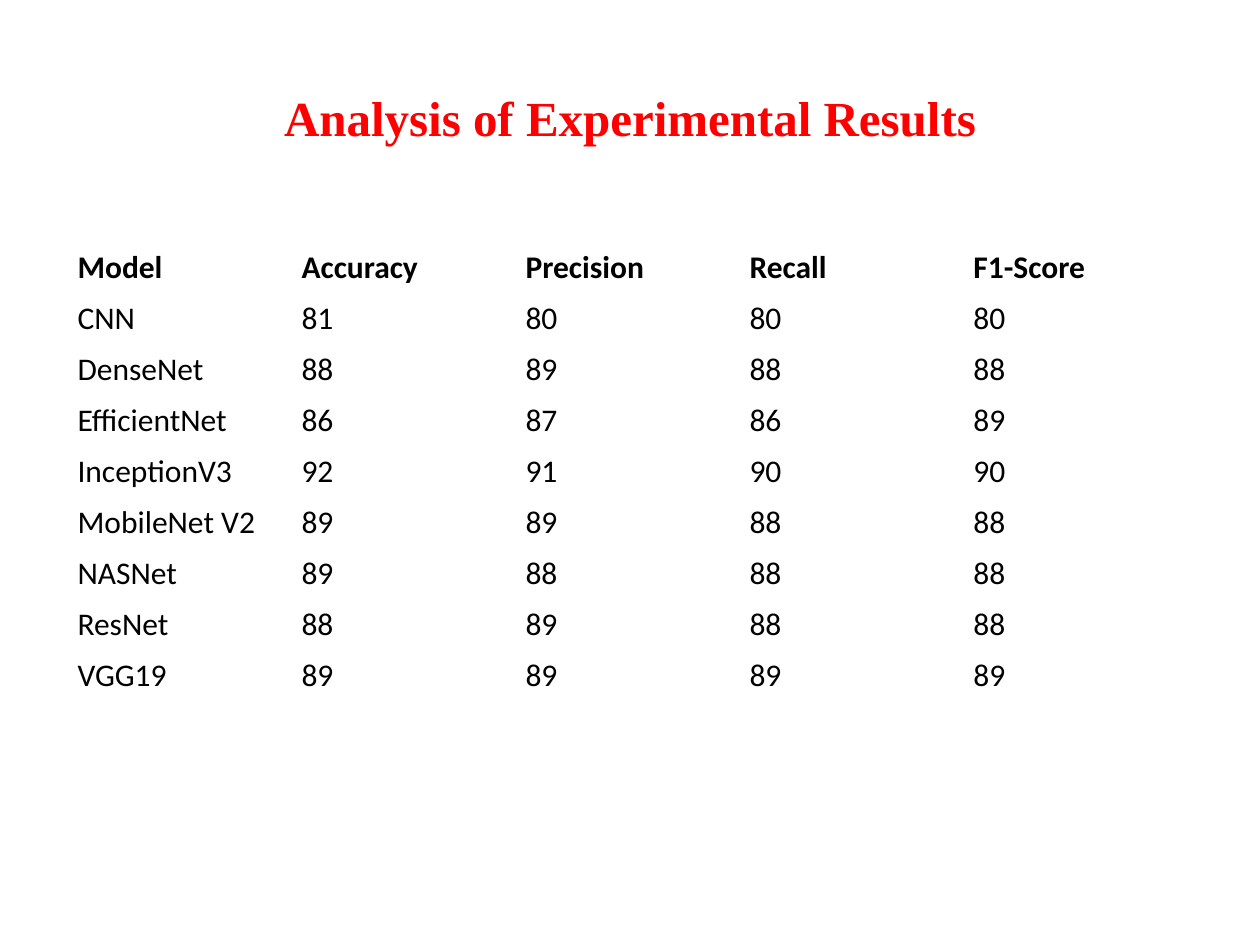
from pptx import Presentation
from pptx.dml.color import RGBColor
from pptx.enum.text import MSO_ANCHOR, PP_ALIGN
from pptx.util import Pt

PX = 914400 // 126
MIDDLE = MSO_ANCHOR.MIDDLE
CENTER = PP_ALIGN.CENTER
RED = RGBColor(255, 0, 0)
BLACK = RGBColor(0, 0, 0)

TITLE_FORMAT = {"name": "Times New Roman", "size": Pt(28), "bold": True}
HEADER_FORMAT = {"name": "Calibri", "size": Pt(18), "bold": True}
BODY_FORMAT = {"name": "Calibri", "size": Pt(18), "bold": False}

RESULTS = [
    ("Model", "Accuracy", "Precision", "Recall", "F1-Score"),
    ("CNN", 81, 80, 80, 80),
    ("DenseNet", 88, 89, 88, 88),
    ("EfficientNet", 86, 87, 86, 89),
    ("InceptionV3", 92, 91, 90, 90),
    ("MobileNet V2", 89, 89, 88, 88),
    ("NASNet", 89, 88, 88, 88),
    ("ResNet", 88, 89, 88, 88),
    ("VGG19", 89, 89, 89, 89),
]
COLUMN_WIDTH = 224
ROW_HEIGHT = 51


def add_text(paragraph, text, text_format, color):
    run = paragraph.add_run()
    run.text = text
    for attribute, value in text_format.items():
        setattr(run.font, attribute, value)
    run.font.color.rgb = color


presentation = Presentation()
presentation.slide_width = 1260 * PX
presentation.slide_height = 945 * PX
slide = presentation.slides.add_slide(presentation.slide_layouts[6])

title = slide.shapes.add_textbox(63 * PX, 38 * PX, 1134 * PX, 158 * PX)
title.text_frame.word_wrap = True
title.text_frame.vertical_anchor = MIDDLE
title_paragraph = title.text_frame.paragraphs[0]
title_paragraph.alignment = CENTER
add_text(title_paragraph, "Analysis of Experimental Results", TITLE_FORMAT, RED)

row_count, column_count = len(RESULTS), len(RESULTS[0])
table = slide.shapes.add_table(
    row_count, column_count, 65 * PX, 242 * PX,
    column_count * COLUMN_WIDTH * PX, row_count * ROW_HEIGHT * PX,
).table
table.first_row = False
table.horz_banding = False

for row_index, values in enumerate(RESULTS):
    cell_format = BODY_FORMAT if row_index else HEADER_FORMAT
    for column_index, value in enumerate(values):
        cell = table.cell(row_index, column_index)
        cell.fill.background()
        cell.vertical_anchor = MIDDLE
        add_text(cell.text_frame.paragraphs[0], str(value), cell_format, BLACK)

presentation.save("out.pptx")
